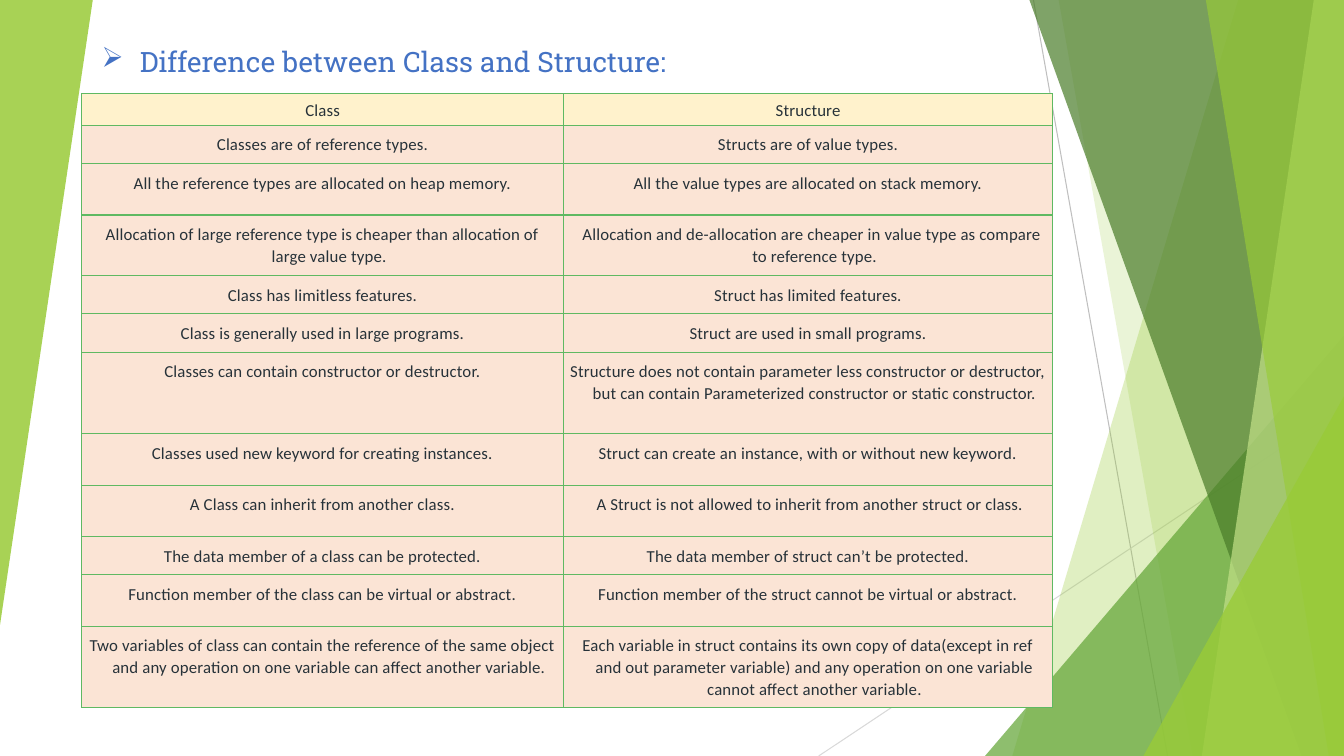
from lxml.etree import SubElement
from pptx import Presentation
from pptx.dml.color import RGBColor
from pptx.enum.shapes import MSO_CONNECTOR, MSO_SHAPE
from pptx.enum.text import MSO_ANCHOR, PP_ALIGN
from pptx.oxml import parse_xml
from pptx.oxml.ns import nsdecls, qn
from pptx.util import Inches, Pt

COLORS = {
    "lime": "99CB38", "green": "63A537", "forest": "4A7C29", "pale": "C2E088",
    "line_dark": "BFBFBF", "line_light": "D9D9D9", "title": "4472C4",
    "text": "273239", "border": "5FB962", "header": "FFF2CC", "body": "FBE4D5",
}
WIDTH, HEIGHT = 13.33, 7.5
TITLE = "Difference between Class and Structure:"
COLUMN_WIDTHS = (4.78, 4.85)
TABLE_LEFT, TABLE_TOP = 0.81, 0.93
HANGING, SPACE = -0.25, 0.04
ROWS = [
    (0.31, ("Class", 0), ("Structure", 0)),
    (0.38, ("Classes are of reference types.", 0), ("Structs are of value types.", 0)),
    (0.51, ("All the reference types are allocated on heap memory.", 1),
     ("All the value types are allocated on stack memory.", 0)),
    (0.6, ("Allocation of large reference type is cheaper than allocation of large value type.", 2),
     ("Allocation and de-allocation are cheaper in value type as compare to reference type.", 5)),
    (0.38, ("Class has limitless features.", 0), ("Struct has limited features.", 0)),
    (0.38, ("Class is generally used in large programs.", 0),
     ("Struct are used in small programs.", 0)),
    (0.81, ("Classes can contain constructor or destructor.", 0),
     ("Structure does not contain parameter less constructor or destructor, "
      "but can contain Parameterized constructor or static constructor.", 3)),
    (0.51, ("Classes used new keyword for creating instances.", 0),
     ("Struct can create an instance, with or without new keyword.", 1)),
    (0.51, ("A Class can inherit from another class.", 0),
     ("A Struct is not allowed to inherit from another struct or class.", 4)),
    (0.38, ("The data member of a class can be protected.", 0),
     ("The data member of struct can’t be protected.", 0)),
    (0.51, ("Function member of the class can be virtual or abstract.", 3),
     ("Function member of the struct cannot be virtual or abstract.", 1)),
    (0.81, ("Two variables of class can contain the reference of the same object "
            "and any operation on one variable can affect another variable.", 2),
     ("Each variable in struct contains its own copy of data(except in ref and out parameter "
      "variable) and any operation on one variable cannot affect another variable.", 2)),
]
RAYS = [
    ((10.25, 0), (11.58, HEIGHT), "line_dark"),
    ((WIDTH, 4.03), (8.12, HEIGHT), "line_light"),
]
FACETS = [
    ("band", 12.28, 10.04, "lime", 30),
    ("band", 10.5, 11.83, "lime", 20),
    ("triangle", (9.77, 3.33, 3.56, 4.17), 0, "green", 72),
    ("band", 10.21, 12.91, "forest", 70),
    ("band", 13.03, 11.92, "pale", 70),
    ("band", 11.96, 13.18, "lime", 65),
    ("triangle", (11.34, 3.93, 1.99, 3.57), 0, "lime", 80),
    ("triangle", (0, 0, 0.92, 6.2), 180, "lime", 85),
]


def rgb(name):
    """Return the named colour."""
    return RGBColor.from_string(COLORS[name])


def add_ray(slide, start, end, color):
    """Draw one thin background line."""
    ray = slide.shapes.add_connector(
        MSO_CONNECTOR.STRAIGHT, *(Inches(value) for value in start + end))
    ray.line.color.rgb = rgb(color)
    ray.line.width = Pt(0.75)
    SubElement(ray._element.spPr, qn("a:effectLst"))


def add_band(slide, top_x, bottom_x):
    """Build a band from a slanted left edge to the slide's right edge."""
    builder = slide.shapes.build_freeform(Inches(top_x), 0)
    corners = [(WIDTH, 0), (WIDTH, HEIGHT), (bottom_x, HEIGHT)]
    builder.add_line_segments([(Inches(x), Inches(y)) for x, y in corners], close=True)
    return builder.convert_to_shape()


def add_triangle(slide, box, rotation):
    """Build a right-angled triangle."""
    triangle = slide.shapes.add_shape(
        MSO_SHAPE.ISOSCELES_TRIANGLE, *(Inches(value) for value in box))
    triangle.adjustments[0] = 1
    triangle.rotation = rotation
    return triangle


def add_facet(slide, kind, first, second, color, opacity):
    """Draw one translucent background facet."""
    build = add_band if kind == "band" else add_triangle
    shape = build(slide, first, second)
    shape.shadow.inherit = False
    shape.fill.solid()
    shape.fill.fore_color.rgb = rgb(color)
    shape.line.fill.background()
    fill_color = shape._element.spPr.find(qn("a:solidFill"))[0]
    SubElement(fill_color, qn("a:alpha"), val=str(opacity * 1000))


def set_font(paragraph, name, size, color):
    """Set a paragraph's font."""
    paragraph.font.name = name
    paragraph.font.size = Pt(size)
    paragraph.font.color.rgb = rgb(color)


def set_indent(paragraph, margin, indent):
    """Set left margin and first-line indent, returning the properties."""
    properties = paragraph._p.get_or_add_pPr()
    properties.set("marL", str(Inches(margin)))
    properties.set("indent", str(Inches(indent)))
    return properties


def add_title(slide):
    """Add the bulleted heading."""
    box = slide.shapes.add_textbox(Inches(0.91), Inches(0.25), Inches(6.35), Inches(0.57))
    frame = box.text_frame
    frame.word_wrap = True
    frame.vertical_anchor = MSO_ANCHOR.BOTTOM
    paragraph = frame.paragraphs[0]
    paragraph.text = TITLE
    properties = set_indent(paragraph, 0.38, -0.38)
    SubElement(properties, qn("a:buChar"), char="➢")
    set_font(paragraph, "Roboto Slab", 20, "title")


def fill_cell(cell, text, spaces, is_header):
    """Write and format one table cell."""
    cell.margin_left = cell.margin_right = Inches(0.05 if is_header else 0.06)
    cell.margin_top = cell.margin_bottom = Inches(0.05 if is_header else 0.08)
    cell.fill.solid()
    cell.fill.fore_color.rgb = rgb("header" if is_header else "body")
    paragraph = cell.text_frame.paragraphs[0]
    paragraph.text = text
    paragraph.alignment = PP_ALIGN.CENTER
    paragraph.line_spacing = 1.07
    paragraph.space_after = Pt(8)
    set_font(paragraph, "Calibri", 12, "text")
    properties = set_indent(paragraph, 0.13, HANGING + SPACE * spaces)
    properties.find(qn("a:defRPr")).set("spc", "10")
    for position, side in enumerate(("lnL", "lnR", "lnT", "lnB")):
        cell._tc.tcPr.insert(position, parse_xml(
            f'<a:{side} {nsdecls("a")} w="{Pt(1)}"><a:solidFill>'
            f'<a:srgbClr val="{COLORS["border"]}"/></a:solidFill></a:{side}>'))


def add_comparison(slide):
    """Add the two-column comparison table."""
    table = slide.shapes.add_table(
        len(ROWS), len(COLUMN_WIDTHS), Inches(TABLE_LEFT), Inches(TABLE_TOP),
        Inches(sum(COLUMN_WIDTHS)), Inches(sum(row[0] for row in ROWS))).table
    for column, width in zip(table.columns, COLUMN_WIDTHS):
        column.width = Inches(width)
    for row_index, (height, *entries) in enumerate(ROWS):
        table.rows[row_index].height = Inches(height)
        for column_index, (text, spaces) in enumerate(entries):
            fill_cell(table.cell(row_index, column_index), text, spaces, row_index == 0)


def main():
    """Build and save the slide."""
    presentation = Presentation()
    presentation.slide_width = Inches(WIDTH)
    presentation.slide_height = Inches(HEIGHT)
    slide = presentation.slides.add_slide(presentation.slide_layouts[6])
    for ray in RAYS:
        add_ray(slide, *ray)
    for facet in FACETS:
        add_facet(slide, *facet)
    add_title(slide)
    add_comparison(slide)
    presentation.save("out.pptx")


if __name__ == "__main__":
    main()
